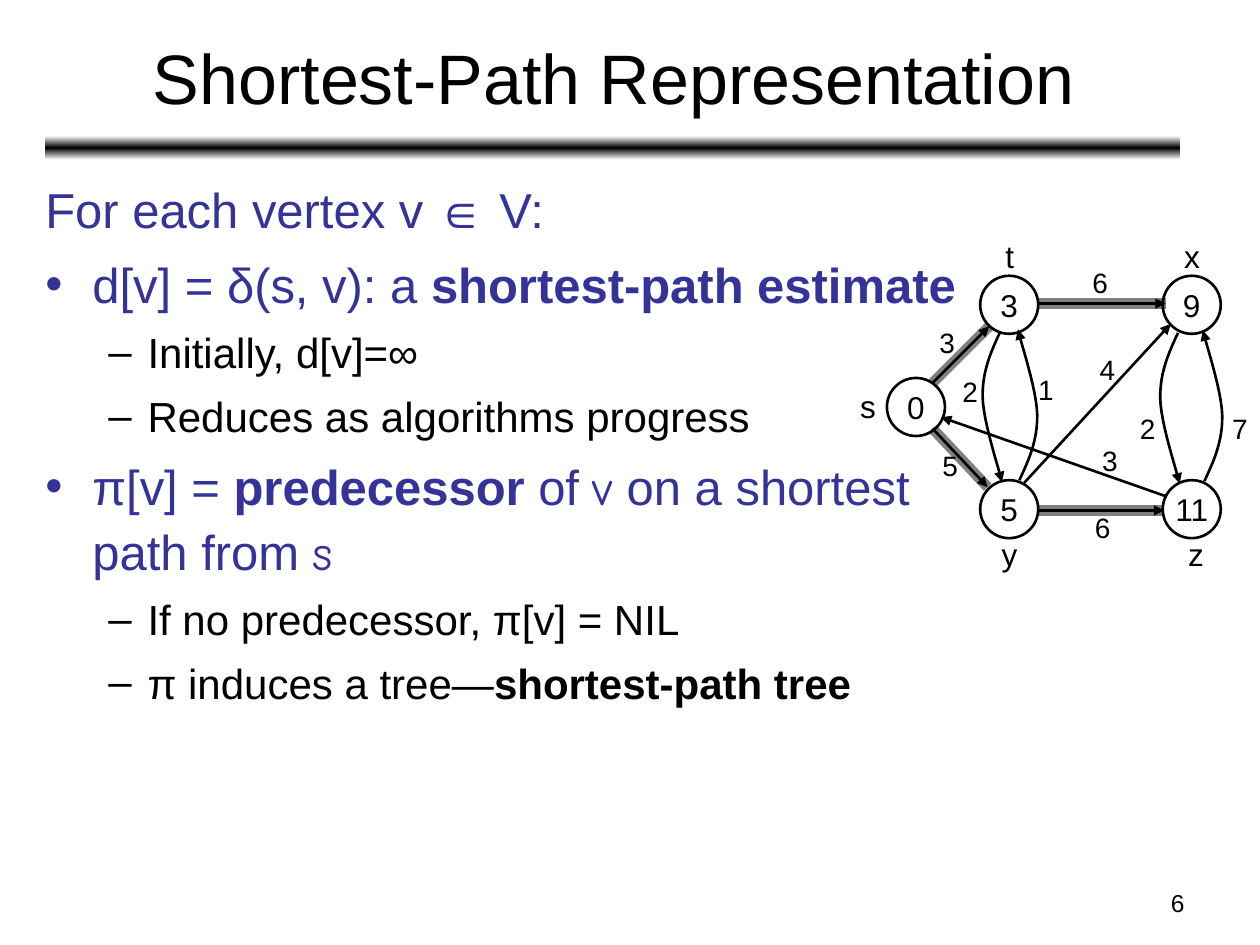
from copy import deepcopy

from lxml import etree
from pptx import Presentation
from pptx.dml.color import RGBColor
from pptx.enum.shapes import MSO_CONNECTOR, MSO_SHAPE
from pptx.enum.text import MSO_ANCHOR, MSO_AUTO_SIZE, PP_ALIGN
from pptx.oxml.ns import qn
from pptx.util import Cm, Pt

LEFT, CENTER, RIGHT = PP_ALIGN.LEFT, PP_ALIGN.CENTER, PP_ALIGN.RIGHT
MIDDLE, TOP = MSO_ANCHOR.MIDDLE, MSO_ANCHOR.TOP
NO_AUTOFIT = MSO_AUTO_SIZE.NONE
STRAIGHT = MSO_CONNECTOR.STRAIGHT
OVAL, ROUNDED = MSO_SHAPE.OVAL, MSO_SHAPE.ROUNDED_RECTANGLE

BLACK, WHITE, GRAY, NAVY = "000000", "FFFFFF", "808080", "333399"
SANS, HAND = "Arial", "Comic Neue"

# Each paragraph: level, bullet, runs of (text, format)
BODY = [
    (0, None, [("For each vertex v ∈ V:", {})]),
    (0, "•", [("d[v] = δ(s, v): a ", {}), ("shortest-path estimate", {"bold": True})]),
    (1, "–", [("Initially, d[v]=∞", {})]),
    (1, "–", [("Reduces as algorithms progress", {})]),
    (0, "•", [("π[v] = ", {}), ("predecessor", {"bold": True}), (" of ", {}),
              ("v", {"font": HAND}), (" on a shortest path from ", {}),
              ("s", {"font": HAND})]),
    (1, "–", [("If no predecessor, π[v] = NIL", {})]),
    (1, "–", [("π induces a tree—", {}), ("shortest-path tree", {"bold": True})]),
]
# Level: size, colour, left margin, hanging indent
LEVELS = {0: (28, NAVY, 0.95, 0.95), 1: (24, BLACK, 2.06, 0.79)}

NODE_SIZE = 1.17
NODES = [("0", 17.88, 7.62), ("3", 19.76, 5.56), ("9", 23.44, 5.56),
         ("5", 19.76, 9.68), ("11", 23.44, 9.68)]
NODE_NAMES = [("s", 17.09, 7.67), ("t", 20.02, 4.65), ("x", 23.62, 4.65),
              ("y", 19.94, 10.67), ("z", 23.7, 10.67)]
TREE_EDGES = [((18.8, 7.72), (19.94, 6.58)), ((18.8, 8.64), (19.91, 9.82)),
              ((20.93, 6.12), (23.5, 6.12)), ((20.94, 10.29), (23.47, 10.29))]
OTHER_EDGES = [((20.65, 9.73), (23.6, 6.53)), ((23.52, 10.01), (18.97, 8.41))]
# Start point and direction (1 down, -1 up)
CURVED_EDGES = [((20.17, 6.68), 1), ((23.75, 6.71), 1),
                ((24.28, 9.7), -1), ((20.55, 9.68), -1)]
CURVE = [(0, 0), (-0.19, 0.4), (-0.37, 0.81), (-0.36, 1.32),
         (-0.35, 1.83), (-0.03, 2.77), (0.03, 3.04)]
WEIGHTS = [("3", 18.69, 6.43), ("6", 21.77, 5.23), ("5", 18.75, 8.92),
           ("7", 24.59, 8.18), ("6", 21.82, 10.16), ("2", 22.73, 8.18),
           ("2", 19.15, 7.42), ("1", 20.68, 7.39), ("4", 21.92, 6.98),
           ("3", 21.97, 8.81)]


def color(value):
    return RGBColor.from_string(value)


def add_span(para, text, size=18, fill=BLACK, font=SANS, bold=False):
    span = para.add_run()
    span.text = text
    span.font.size = Pt(size)
    span.font.name = font
    span.font.bold = bold
    span.font.color.rgb = color(fill)


def write(shape, text, align=LEFT, anchor=TOP, wrap=False, **style):
    frame = shape.text_frame
    frame.word_wrap = wrap
    frame.vertical_anchor = anchor
    para = frame.paragraphs[0]
    para.alignment = align
    add_span(para, text, **style)


def place(shape, left, top, width, height):
    shape.left, shape.top = Cm(left), Cm(top)
    shape.width, shape.height = Cm(width), Cm(height)


def add_label(page, text, left, top, width, height, **style):
    box = page.shapes.add_textbox(Cm(left), Cm(top), Cm(width), Cm(height))
    write(box, text, **style)


def add_bar(page):
    """Rule under the title, fading from black to white at both edges."""
    bar = page.shapes.add_shape(ROUNDED, Cm(0.91), Cm(2.74), Cm(22.89), Cm(0.48))
    bar.shadow.inherit = False
    bar.line.fill.background()
    bar.fill.gradient()
    bar.fill.gradient_angle = 90
    first, last = bar.fill.gradient_stops
    first.color.rgb = last.color.rgb = color(WHITE)
    first.position, last.position = 0, 1
    stop_list = bar._element.spPr.find(qn("a:gradFill")).find(qn("a:gsLst"))
    stop_list.insert(1, deepcopy(stop_list[0]))
    middle = bar.fill.gradient_stops[1]
    middle.position = 0.5
    middle.color.rgb = color(BLACK)


def set_bullet(para, bullet, margin, hanging):
    props = para._p.get_or_add_pPr()
    props.set("marL", str(Cm(margin)))
    props.set("indent", str(-Cm(hanging)))
    if bullet:
        etree.SubElement(props, qn("a:buFont")).set("typeface", SANS)
        etree.SubElement(props, qn("a:buChar")).set("char", bullet)
    else:
        etree.SubElement(props, qn("a:buNone"))


def fill_body(body):
    place(body, 0.66, 3.38, 18.97, 14.1)
    frame = body.text_frame
    frame.auto_size = NO_AUTOFIT
    for index, (level, bullet, spans) in enumerate(BODY):
        para = frame.add_paragraph() if index else frame.paragraphs[0]
        size, fill, margin, hanging = LEVELS[level]
        para.level = level
        para.line_spacing = 1.1
        para.space_before = Pt(size * 0.2)
        set_bullet(para, bullet, margin, hanging)
        for text, style in spans:
            add_span(para, text, size=size, fill=fill, **style)


def add_node(page, text, left, top):
    node = page.shapes.add_shape(OVAL, Cm(left), Cm(top), Cm(NODE_SIZE), Cm(NODE_SIZE))
    node.shadow.inherit = False
    node.fill.background()
    node.line.color.rgb = color(BLACK)
    node.line.width = Pt(1.5)
    write(node, text, align=CENTER, anchor=MIDDLE)


def style_stroke(shape, stroke=BLACK, width=1.5, arrow=True):
    shape.line.color.rgb = color(stroke)
    shape.line.width = Pt(width)
    props = shape._element.spPr
    if arrow:
        etree.SubElement(props.find(qn("a:ln")), qn("a:tailEnd")).set("type", "triangle")
    etree.SubElement(props, qn("a:effectLst"))


def add_edge(page, start, end, **stroke):
    edge = page.shapes.add_connector(STRAIGHT, *(Cm(value) for value in start + end))
    style_stroke(edge, **stroke)


def bezier_point(points, t):
    weights = ((1 - t) ** 3, 3 * t * (1 - t) ** 2, 3 * t ** 2 * (1 - t), t ** 3)
    return tuple(sum(w * p[axis] for w, p in zip(weights, points)) for axis in (0, 1))


def add_curved_edge(page, start, direction, steps=12):
    """Two joined cubic curves, turned half round when direction is -1."""
    offsets = [bezier_point(CURVE[first:first + 4], step / steps)
               for first in (0, 3) for step in range(1, steps + 1)]
    points = [(Cm(start[0] + direction * dx), Cm(start[1] + direction * dy))
              for dx, dy in offsets]
    builder = page.shapes.build_freeform(Cm(start[0]), Cm(start[1]))
    builder.add_line_segments(points, close=False)
    edge = builder.convert_to_shape()
    edge.fill.background()
    style_stroke(edge)


def add_graph(page):
    for start, end in TREE_EDGES:
        add_edge(page, start, end, stroke=GRAY, width=6, arrow=False)
    for node in NODES:
        add_node(page, *node)
    for start, end in TREE_EDGES + OTHER_EDGES:
        add_edge(page, start, end)
    for start, direction in CURVED_EDGES:
        add_curved_edge(page, start, direction)
    for text, left, top in NODE_NAMES:
        add_label(page, text, left, top, 0.69 if text == "t" else 0.84, 1.02)
    for text, left, top in WEIGHTS:
        add_label(page, text, left, top, 0.81, 0.94, size=16)


def main():
    deck = Presentation()
    deck.slide_width, deck.slide_height = Cm(25.4), Cm(19.05)
    page = deck.slides.add_slide(deck.slide_layouts[1])
    title, body = page.placeholders
    place(title, 0.94, 0.28, 22.86, 2.51)
    write(title, "Shortest-Path Representation", align=CENTER, anchor=MIDDLE,
          wrap=True, size=40)
    fill_body(body)
    add_bar(page)
    add_label(page, "6", 18.21, 17.78, 5.92, 0.89, align=RIGHT, wrap=True, size=14)
    add_graph(page)
    deck.save("out.pptx")


if __name__ == "__main__":
    main()
